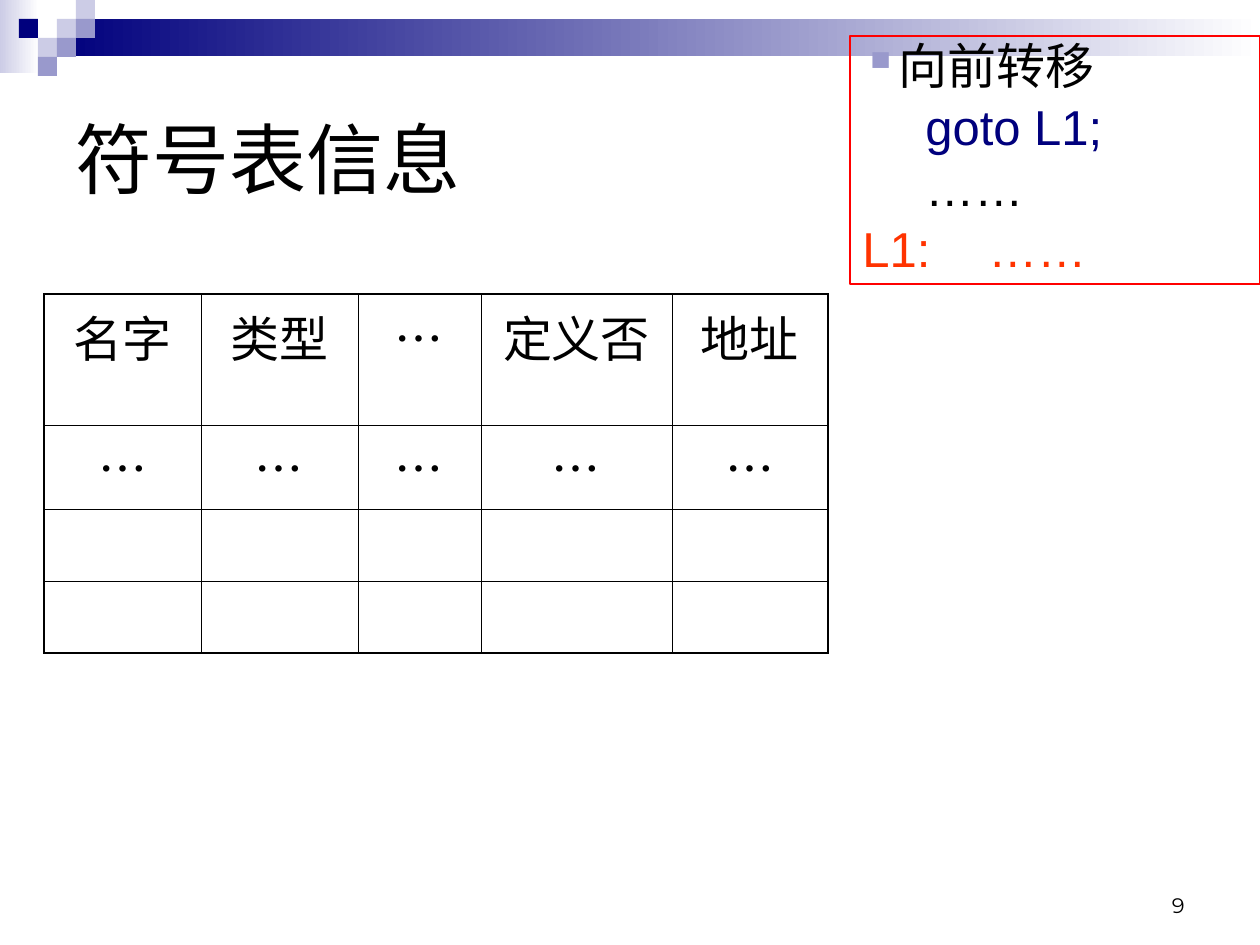
import pptx
import pptx.dml.color
import pptx.enum.dml
import pptx.enum.shapes
import pptx.enum.text
import pptx.oxml
import pptx.oxml.ns
import pptx.util

PX = pptx.util.Inches(1) / 126
RGB = pptx.dml.color.RGBColor.from_string
ALIGN = pptx.enum.text.PP_ALIGN
ANCHOR = pptx.enum.text.MSO_ANCHOR
RECTANGLE = pptx.enum.shapes.MSO_SHAPE.RECTANGLE
NS = pptx.oxml.ns.nsdecls("a")

THEME = {
    "black": "000000", "white": "FFFFFF", "navy": "00007D", "lilac": "9999CC",
    "pale": "CCCCE6", "red": "FF0000", "orange": "FF3300",
    "latin": "Arial", "cjk": "Noto Sans CJK SC", "number": "Montserrat",
    "title_size": 44, "text_size": 28, "number_size": 12,
}


def px(*lengths):
    return [round(length * PX) for length in lengths]


def write(paragraph, text, align, size="text_size", font="latin", color="black"):
    run = paragraph.add_run()
    run.text = text
    paragraph.alignment = align
    values = {"name": THEME[font], "size": pptx.util.Pt(THEME[size]), "bold": False}
    for name, value in values.items():
        setattr(run.font, name, value)
    run.font.color.rgb = RGB(THEME[color])


deck = pptx.Presentation()
deck.slide_width, deck.slide_height = px(1260, 945)
slide = deck.slides.add_slide(deck.slide_layouts[5])
shapes = slide.shapes

# Gradient bands at the top
for box, start in [((0, 0, 39, 73), "pale"), ((57, 19, 1203, 37), "navy")]:
    band = shapes.add_shape(RECTANGLE, *px(*box))
    band.shadow.inherit = False
    band.line.fill.background()
    band.fill.gradient()
    band.fill.gradient_angle = 0
    for stop, color, position in zip(band.fill.gradient_stops, (start, "white"), (0, 1)):
        stop.color.rgb = RGB(THEME[color])
        stop.position = position

# Mosaic squares, by column and row
SQUARE = 19
mosaic = [(3, 1, "pale"), (4, 0, "pale"), (4, 1, "lilac"), (2, 2, "pale"),
          (1, 1, "navy"), (3, 2, "lilac"), (2, 3, "lilac")]
for column, row, color in mosaic:
    square = shapes.add_shape(RECTANGLE, *px(column * SQUARE, row * SQUARE, SQUARE, SQUARE))
    square.shadow.inherit = False
    square.line.fill.background()
    square.fill.solid()
    square.fill.fore_color.rgb = RGB(THEME[color])

# Page number
page_number = shapes.add_textbox(*px(903, 861, 294, 63))
page_number.text_frame.word_wrap = True
page_number.text_frame.vertical_anchor = ANCHOR.BOTTOM
write(page_number.text_frame.paragraphs[0], "9", ALIGN.RIGHT, "number_size", "number")

# Title
title = shapes.title
title.left, title.top, title.width, title.height = px(63, 63, 1134, 189)
title.text_frame.vertical_anchor = ANCHOR.MIDDLE
write(title.text_frame.paragraphs[0], "符号表信息", ALIGN.LEFT, "title_size")

# Symbol table
symbol_rows = [["名字", "类型", "…", "定义否", "地址"], ["…"] * 5, [""] * 5, [""] * 5]
widths, heights = (157, 157, 123, 191, 156), (131, 84, 72, 72)
symbols = shapes.add_table(
    len(heights), len(widths), *px(44, 294, sum(widths), sum(heights))).table
symbols.first_row = symbols.horz_banding = False
for column, width in zip(symbols.columns, px(*widths)):
    column.width = width
for row, height in zip(symbols.rows, px(*heights)):
    row.height = height
for r, texts in enumerate(symbol_rows):
    for c, text in enumerate(texts):
        cell = symbols.cell(r, c)
        cell.fill.background()
        if text:
            font = "cjk" if text == "…" else "latin"
            write(cell.text_frame.paragraphs[0], text, ALIGN.CENTER, font=font)
        # Heavier lines around the outside
        outer = {"L": c == 0, "R": c == len(widths) - 1,
                 "T": r == 0, "B": r == len(heights) - 1}
        for place, (side, is_outer) in enumerate(outer.items()):
            weight = pptx.util.Pt(1.08 if is_outer else 0.45)
            border = pptx.oxml.parse_xml(
                f'<a:ln{side} {NS} w="{weight}"><a:solidFill>'
                f'<a:srgbClr val="{THEME["black"]}"/></a:solidFill></a:ln{side}>')
            cell._tc.get_or_add_tcPr().insert(place, border)

# Forward jump example
jump = shapes.add_shape(RECTANGLE, *px(850, 36, 410, 248))
jump.shadow.inherit = False
jump.fill.background()
jump.line.color.rgb = RGB(THEME["red"])
jump.line.width = pptx.util.Pt(1.5)
jump.text_frame.word_wrap = True
jump.text_frame.vertical_anchor = ANCHOR.TOP
jump_lines = [("向前转移", "black"), ("\tgoto L1;", "navy"),
              ("\t……", "black"), ("L1:\t……", "orange")]
for i, (text, color) in enumerate(jump_lines):
    line = jump.text_frame.paragraphs[0] if i == 0 else jump.text_frame.add_paragraph()
    if i == 0:
        properties = line._p.get_or_add_pPr()
        indent = px(30)[0]
        properties.set("marL", str(indent))
        properties.set("indent", str(-indent))
        for bullet in (f'<a:buClr {NS}><a:srgbClr val="{THEME["lilac"]}"/></a:buClr>',
                       f'<a:buChar {NS} char="▪"/>'):
            properties.append(pptx.oxml.parse_xml(bullet))
    else:
        line.space_before = pptx.util.Pt(4.5)
    line.line_spacing = 0.9
    write(line, text, ALIGN.JUSTIFY, color=color)

deck.save("out.pptx")
